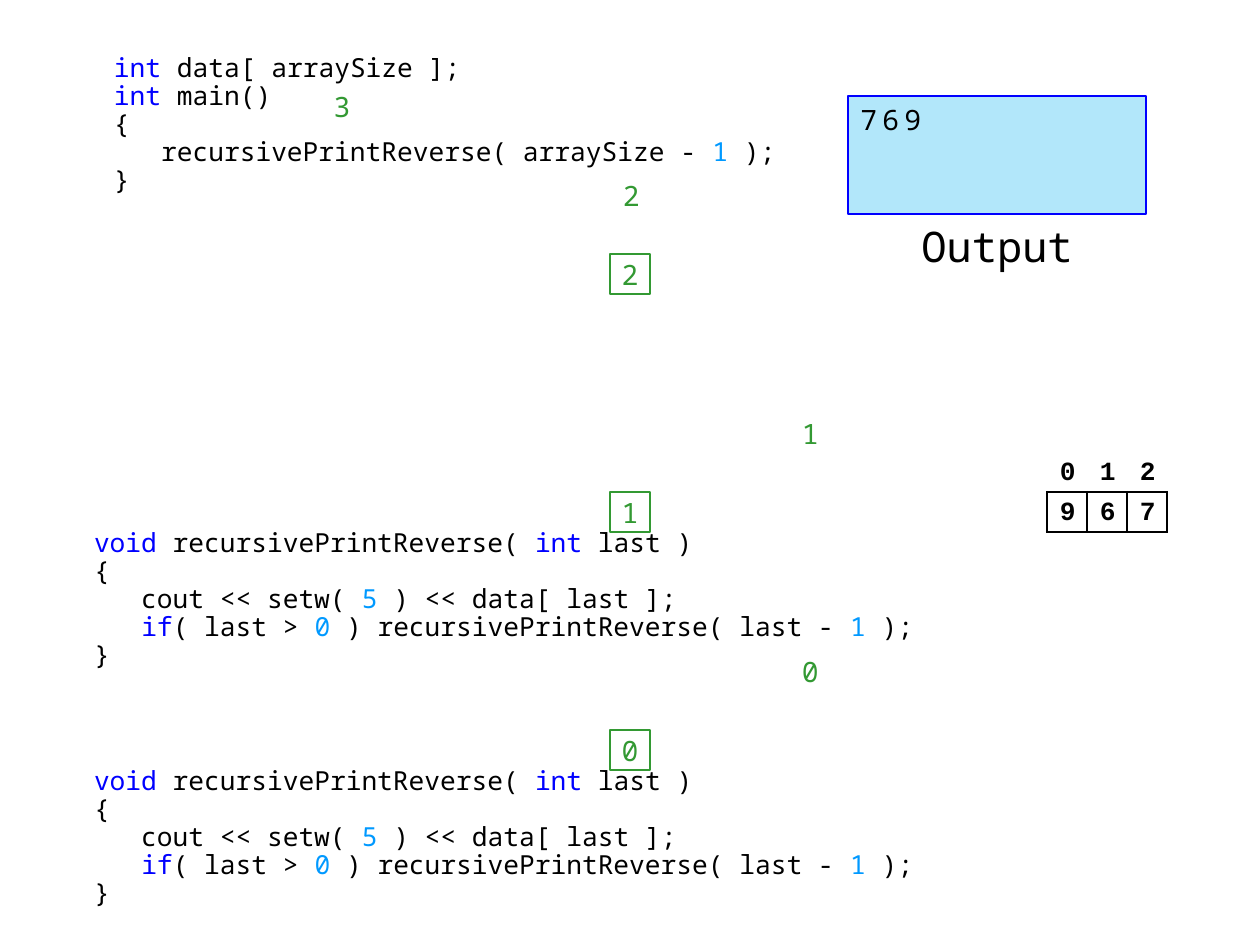
from lxml.etree import SubElement
from pptx import Presentation
from pptx.dml.color import RGBColor
from pptx.enum.shapes import MSO_SHAPE as SHAPE
from pptx.enum.text import MSO_ANCHOR as ANCHOR, PP_ALIGN as ALIGN
from pptx.oxml import parse_xml
from pptx.oxml.ns import nsdecls, qn
from pptx.util import Emu, Pt

BLACK = RGBColor(0x00, 0x00, 0x00)
BLUE = RGBColor(0x00, 0x00, 0xFF)
NUMBER_BLUE = RGBColor(0x00, 0x99, 0xFF)
GREEN = RGBColor(0x33, 0x99, 0x33)
SKY = RGBColor(0x00, 0xB0, 0xF0)

KEYWORDS = {"int", "void", "if"}
MAIN_CODE = [
    "int| data[ arraySize ];",
    "int| main()",
    "{",
    "   recursivePrintReverse( arraySize - |1| );",
    "}",
]
FUNCTION_CODE = [
    "void| recursivePrintReverse( |int| last )",
    "{",
    "   cout << setw( |5| ) << data[ last ];",
    "   |if|( last > |0| ) recursivePrintReverse( last - |1| );",
    "}",
]
CALL_PITCH = 238
CELL = 40


def px(n):
    return Emu(round(n * 914400 / 126))


class CallTrace:
    font = "Noto Sans Mono"
    table_font = "Courier New"
    code_size = 15
    value_size = 16
    line_width = Pt(1.5)

    def __init__(self, slide):
        self.slide = slide

    def style(self, r, size, color, font=None, bold=False):
        r.font.name = font or self.font
        r.font.size = Pt(size)
        r.font.color.rgb = color
        r.font.bold = bold

    def insets(self, holder, left, top, right, bottom):
        holder.margin_left, holder.margin_top = px(left), px(top)
        holder.margin_right, holder.margin_bottom = px(right), px(bottom)

    def textbox(self, x, y, w, h):
        return self.slide.shapes.add_textbox(px(x), px(y), px(w), px(h))

    def rect(self, x, y, w, h, line):
        s = self.slide.shapes.add_shape(SHAPE.RECTANGLE, px(x), px(y), px(w), px(h))
        s.shadow.inherit = False
        s.fill.background()
        s.line.color.rgb = line
        s.line.width = self.line_width
        return s

    def code(self, x, y, w, h, lines):
        tf = self.textbox(x, y, w, h).text_frame
        tf.word_wrap = True
        self.insets(tf, 20, 18, 5, 13)
        for i, line in enumerate(lines):
            p = tf.paragraphs[0] if i == 0 else tf.add_paragraph()
            p.line_spacing = 0.89
            for token in line.split("|"):
                r = p.add_run()
                r.text = token
                color = BLUE if token in KEYWORDS else NUMBER_BLUE if token.isdigit() else BLACK
                self.style(r, self.code_size, color)

    def value(self, x, y, text, size=CELL, framed=False):
        s = self.rect(x, y, size, size, GREEN) if framed else self.textbox(x, y, size, size)
        tf = s.text_frame
        tf.text = text
        tf.word_wrap = False
        tf.vertical_anchor = ANCHOR.MIDDLE
        self.insets(tf, 13, 0, 13, 0)
        p = tf.paragraphs[0]
        p.alignment = ALIGN.CENTER
        self.style(p.runs[0], self.value_size, GREEN)

    def screen(self, x, y, w, h, text):
        s = self.rect(x, y, w, h, BLUE)
        s.fill.solid()
        s.fill.fore_color.rgb = SKY
        color = s._element.spPr.find(qn("a:solidFill"))[0]
        SubElement(color, qn("a:alpha")).set("val", "30000")
        tf = s.text_frame
        tf.text = text
        tf.vertical_anchor = ANCHOR.TOP
        p = tf.paragraphs[0]
        p.alignment = ALIGN.LEFT
        r = p.runs[0]
        self.style(r, self.value_size, BLACK)
        r.font._element.set("spc", "300")

    def label(self, x, y, w, h, text, size):
        tf = self.textbox(x, y, w, h).text_frame
        tf.text = text
        tf.word_wrap = True
        p = tf.paragraphs[0]
        p.alignment = ALIGN.CENTER
        self.style(p.runs[0], size, BLACK)

    def borders(self, cell, sides):
        tcPr = cell._tc.get_or_add_tcPr()
        for i, side in enumerate(sides):
            tcPr.insert(i, parse_xml(
                f'<a:ln{side} {nsdecls("a")} w="{self.line_width}"><a:solidFill>'
                f'<a:srgbClr val="{BLACK}"/></a:solidFill></a:ln{side}>'))

    def array(self, x, y, values):
        count = len(values)
        table = self.slide.shapes.add_table(
            2, count, px(x), px(y), px(count * CELL), px(2 * CELL)).table
        table.first_row = table.horz_banding = False
        for row, texts in enumerate([range(count), values]):
            for col, text in enumerate(texts):
                cell = table.cell(row, col)
                cell.text = str(text)
                cell.fill.background()
                cell.vertical_anchor = ANCHOR.MIDDLE
                self.insets(cell, 13, 3, 13, 0)
                p = cell.text_frame.paragraphs[0]
                p.alignment = ALIGN.CENTER
                self.style(p.runs[0], self.code_size, BLACK, self.table_font, True)
                self.borders(cell, "LRTB" if row else "B")


def main():
    prs = Presentation()
    prs.slide_width, prs.slide_height = px(1260), px(945)
    trace = CallTrace(prs.slides.add_slide(prs.slide_layouts[6]))

    trace.code(94, 37, 694, 179, MAIN_CODE)
    for call in (1, 2):
        trace.code(74, 274 + call * CALL_PITCH, 853, 179, FUNCTION_CODE)

    trace.value(312, 76, "3", size=60)
    for call, last in enumerate("210"):
        top = 254 + call * CALL_PITCH
        trace.value(789 if call else 610, top - 79, last)
        trace.value(610, top, last, framed=True)

    trace.screen(848, 96, 298, 118, "769")
    trace.label(888, 214, 218, 60, "Output", 24)
    trace.array(1047, 452, [9, 6, 7])

    prs.save("out.pptx")


if __name__ == "__main__":
    main()
